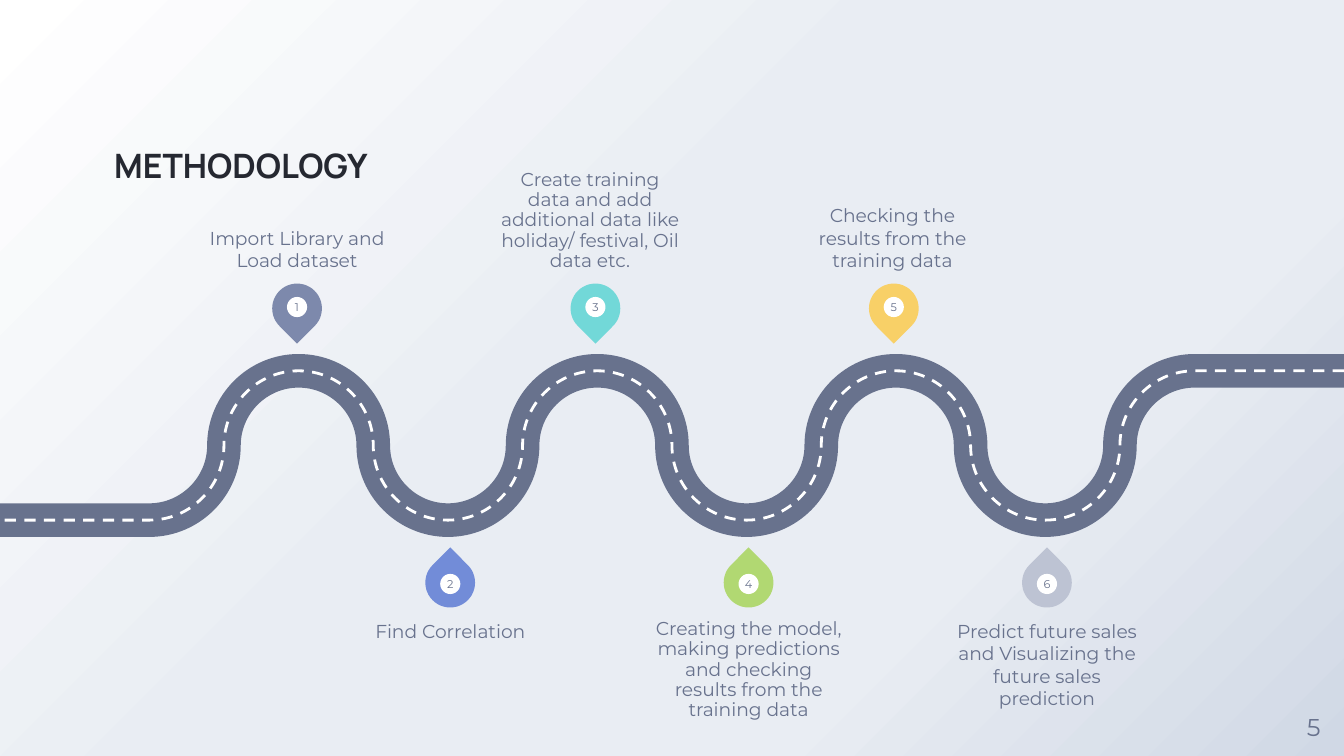
import pptx
import pptx.dml.color
import pptx.enum.dml
import pptx.enum.shapes
import pptx.enum.text
import pptx.oxml
import pptx.oxml.ns
import pptx.util

TITLE = "METHODOLOGY"
PAGE_NUMBER = "5"
# label, pin colour, line spacing, label width, sideways shift of the label
STEPS = [
    ("Import Library and Load dataset", "7D89AC", None, 1.41, 0),
    ("Find Correlation", "728CD8", None, 1.41, 0),
    ("Create training data and add additional data like holiday/ festival, Oil data etc.",
     "72D8D8", 0.9, 1.35, -0.04),
    ("Creating the model, making predictions and checking results from the training data",
     "B1D872", 0.9, 1.41, 0),
    ("Checking the results from the training data", "F8D067", None, 1.41, -0.01),
    ("Predict future sales and Visualizing the future sales prediction",
     "BDC3D3", None, 1.41, 0),
]
BACKDROP = [(0, "FFFFFF"), (44, "E9EDF3"), (72, "E9EDF3"), (100, "D0D8E5")]
SLATE, INK, WHITE = "68728D", "252831", "FFFFFF"
BODY_FONT, TITLE_FONT = "Montserrat", "Manrope"

WIDTH, HEIGHT = 10, 5.625
BENDS = 8
RADIUS = WIDTH / (BENDS + 1) / 2
ROAD_MIDDLE = 3.315
ARC_HANDLE = 0.55
PIN, BADGE = 0.37, 0.15
PIN_DISTANCE, BADGE_DISTANCE = 1.02, 1.03
FIRST_ABOVE, FIRST_BELOW, STEP_PITCH = 2.21, 3.35, 2.22
LABEL_ABOVE, LABEL_BELOW, LABEL_HEIGHT = 1.44, 4.61, 0.58

ANCHOR = pptx.enum.text.MSO_ANCHOR
ALIGN = pptx.enum.text.PP_ALIGN
PRESET = pptx.enum.shapes.MSO_SHAPE
NAMESPACE = pptx.oxml.ns.nsdecls("a")
inches = pptx.util.Inches


def rgb(colour):
    return pptx.dml.color.RGBColor.from_string(colour)


def write(holder, text, size, colour=SLATE, font=BODY_FONT, bold=False,
          anchor=ANCHOR.MIDDLE, align=ALIGN.CENTER, spacing=None):
    frame = holder.text_frame
    frame.word_wrap = True
    frame.vertical_anchor = anchor
    frame.margin_left = frame.margin_right = frame.margin_top = frame.margin_bottom = 0
    paragraph = frame.paragraphs[0]
    paragraph.alignment = align
    if spacing:
        paragraph.line_spacing = spacing
    run = paragraph.add_run()
    run.text = text
    run.font.size = pptx.util.Pt(size)
    run.font.name = font
    run.font.bold = bold
    run.font.color.rgb = rgb(colour)


def add_text(slide, left, top, width, height, text, size, **style):
    box = slide.shapes.add_textbox(*map(inches, (left, top, width, height)))
    write(box, text, size, **style)


def add_centred(slide, preset, x, y, size, colour):
    """Add a borderless shape of equal sides around the point x, y."""
    shape = slide.shapes.add_shape(
        preset, inches(x - size / 2), inches(y - size / 2), inches(size), inches(size))
    shape.shadow.inherit = False
    shape.fill.solid()
    shape.fill.fore_color.rgb = rgb(colour)
    shape.line.fill.background()
    return shape


def paint_backdrop(slide):
    slide.background.fill.solid()
    solid = slide.element.xpath("./p:cSld/p:bg/p:bgPr/a:solidFill")[0]
    stops = "".join(f'<a:gs pos="{share * 1000}"><a:srgbClr val="{colour}"/></a:gs>'
                    for share, colour in BACKDROP)
    gradient = pptx.oxml.parse_xml(
        f'<a:gradFill {NAMESPACE}><a:gsLst>{stops}</a:gsLst>'
        '<a:path path="circle"><a:fillToRect r="100000" b="100000"/></a:path></a:gradFill>')
    solid.getparent().replace(solid, gradient)


def road_points():
    """Quarter-arc ends from right to left: peaks, crossings and valleys in turn."""
    heights = [-1, 0, 1, 0]
    arcs = [(quarter * RADIUS, ROAD_MIDDLE + heights[quarter % 4] * RADIUS)
            for quarter in range(2 * BENDS, 1, -1)]
    return [(WIDTH, ROAD_MIDDLE - RADIUS), *arcs, (0, ROAD_MIDDLE + RADIUS)]


def bend_road(road):
    """Turn every segment but the two straight ends into a quarter arc."""
    ends = [(int(point.get("x")), int(point.get("y")))
            for point in road.element.xpath(".//a:path//a:pt")]
    segments = road.element.xpath(".//a:path/a:lnTo")
    for index in range(1, len(segments) - 1):
        (x0, y0), (x1, y1) = ends[index:index + 2]
        across, down = ARC_HANDLE * (x1 - x0), ARC_HANDLE * (y1 - y0)
        if index % 2:
            handles = [(x0 + across, y0), (x1, y1 - down)]
        else:
            handles = [(x0, y0 + down), (x1 - across, y1)]
        points = "".join(f'<a:pt x="{round(x)}" y="{round(y)}"/>'
                         for x, y in [*handles, (x1, y1)])
        arc = pptx.oxml.parse_xml(f'<a:cubicBezTo {NAMESPACE}>{points}</a:cubicBezTo>')
        segments[index].getparent().replace(segments[index], arc)


def add_road(slide, colour, thickness, dash=None):
    start, *rest = [(inches(x), inches(y)) for x, y in road_points()]
    builder = slide.shapes.build_freeform(*start)
    builder.add_line_segments(rest, close=False)
    road = builder.convert_to_shape()
    bend_road(road)
    road.shadow.inherit = False
    road.fill.background()
    road.line.color.rgb = rgb(colour)
    road.line.width = pptx.util.Pt(thickness)
    if dash:
        road.line.dash_style = dash


def add_step(slide, number, label, colour, spacing, width, shift):
    above = number % 2 == 1
    side = -1 if above else 1
    x = (FIRST_ABOVE if above else FIRST_BELOW) + (number - 1) // 2 * STEP_PITCH
    pin = add_centred(slide, PRESET.TEAR, x, ROAD_MIDDLE + side * PIN_DISTANCE, PIN, colour)
    pin.rotation = 135 if above else 315
    badge = add_centred(slide, PRESET.OVAL, x, ROAD_MIDDLE + side * BADGE_DISTANCE, BADGE, WHITE)
    write(badge, str(number), 6)
    add_text(slide, x + shift - width / 2, LABEL_ABOVE if above else LABEL_BELOW,
             width, LABEL_HEIGHT, label, 10, spacing=spacing,
             anchor=ANCHOR.BOTTOM if above else ANCHOR.TOP)


def main():
    deck = pptx.Presentation()
    deck.slide_width, deck.slide_height = inches(WIDTH), inches(HEIGHT)
    slide = deck.slides.add_slide(deck.slide_layouts[6])
    paint_backdrop(slide)
    add_text(slide, 0.85, 0.44, 3.92, 0.94, TITLE, 18, colour=INK, font=TITLE_FONT,
             bold=True, anchor=ANCHOR.BOTTOM, align=ALIGN.LEFT)
    add_text(slide, 9.55, 5.18, 0.45, 0.45, PAGE_NUMBER, 13)
    add_road(slide, SLATE, 18)
    add_road(slide, WHITE, 1.5, pptx.enum.dml.MSO_LINE.DASH)
    for number, step in enumerate(STEPS, 1):
        add_step(slide, number, *step)
    deck.save("out.pptx")


if __name__ == "__main__":
    main()
